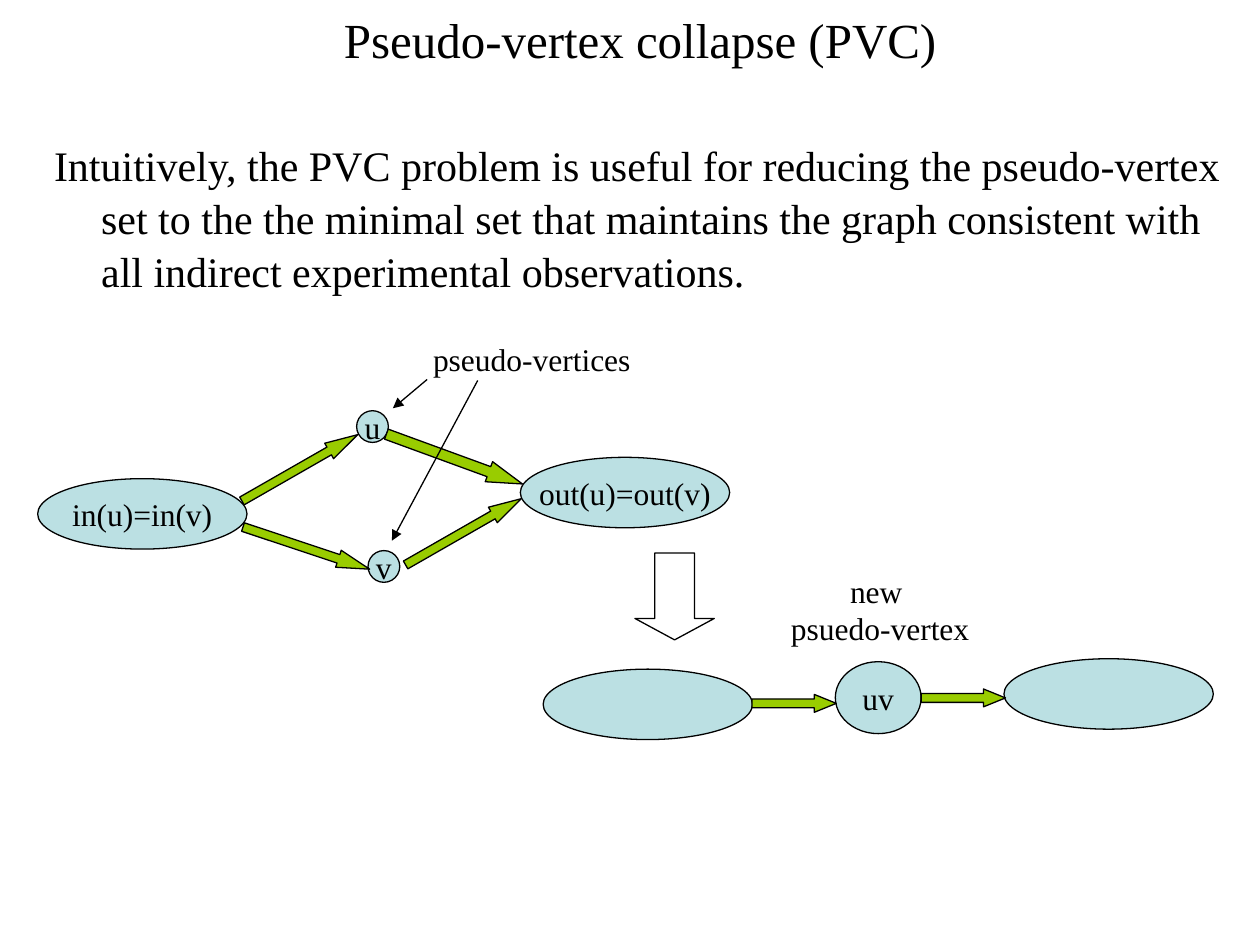
from typing import NamedTuple

from lxml import etree
from pptx import Presentation
from pptx.dml.color import RGBColor
from pptx.enum.shapes import MSO_CONNECTOR, MSO_SHAPE
from pptx.enum.text import MSO_ANCHOR, MSO_AUTO_SIZE, PP_ALIGN
from pptx.oxml.ns import qn
from pptx.util import Cm, Pt

BLACK = RGBColor(0x00, 0x00, 0x00)
PALE_BLUE = RGBColor(0xBB, 0xE0, 0xE3)
GREEN = RGBColor(0x99, 0xCC, 0x00)

ELLIPSE = MSO_SHAPE.OVAL
RIGHT_ARROW = MSO_SHAPE.RIGHT_ARROW
DOWN_ARROW = MSO_SHAPE.DOWN_ARROW
STRAIGHT = MSO_CONNECTOR.STRAIGHT
LEFT, CENTER = PP_ALIGN.LEFT, PP_ALIGN.CENTER
TOP, MIDDLE = MSO_ANCHOR.TOP, MSO_ANCHOR.MIDDLE
NO_AUTOFIT = MSO_AUTO_SIZE.NONE

FONT = "Times New Roman"
LINE_WIDTH = Pt(0.75)
TEXT_LEFT, TEXT_WIDTH = 0.84, 24.13
SET_SIZE = (4.22, 1.42)
VERTEX_SIZE = (0.64, 0.64)
MERGED_SIZE = (1.73, 1.45)


class Vertex(NamedTuple):
    left: float
    top: float
    size: tuple[float, float]
    text: str = ""


class Arrow(NamedTuple):
    left: float
    top: float
    width: float
    height: float = 0.36
    rotation: float = 0
    head: float = 1.84


class Label(NamedTuple):
    left: float
    top: float
    width: float
    height: float
    lines: tuple[str, ...]
    align: PP_ALIGN


class Pointer(NamedTuple):
    start: tuple[float, float]
    end: tuple[float, float]


VERTICES = [
    Vertex(7.19, 8.28, VERTEX_SIZE, "u"),
    Vertex(7.42, 11.1, VERTEX_SIZE, "v"),
    Vertex(0.76, 9.65, SET_SIZE, "in(u)=in(v)"),
    Vertex(10.49, 9.22, SET_SIZE, "out(u)=out(v)"),
    Vertex(10.95, 13.49, SET_SIZE),
    Vertex(20.24, 13.28, SET_SIZE),
    Vertex(16.84, 13.34, MERGED_SIZE, "uv"),
]
ARROWS = [
    Arrow(4.7, 9.25, 2.69, rotation=330.2),
    Arrow(4.83, 10.87, 2.69, rotation=18.4),
    Arrow(7.7, 9.04, 2.92, 0.43, rotation=20.1, head=1.67),
    Arrow(8.0, 10.54, 2.69, rotation=330.2),
    Arrow(15.16, 14.0, 1.7, head=1.23),
    Arrow(18.57, 13.89, 1.7, head=1.23),
]
LABELS = [
    Label(8.48, 6.73, 4.5, 1.02, ("pseudo-vertices",), LEFT),
    Label(15.7, 11.4, 4.09, 1.78, ("new ", "psuedo-vertex"), CENTER),
]
POINTERS = [
    Pointer((8.61, 7.65), (7.92, 8.23)),
    Pointer((9.63, 7.67), (7.9, 10.9)),
]


def write(box, *lines: str, size: float = 18, align=CENTER, anchor=TOP,
          wrap: bool = False, spacing: float = 1.0) -> None:
    """Fill a box with one paragraph per line of text."""
    frame = box.text_frame
    frame.auto_size = NO_AUTOFIT
    frame.word_wrap = wrap
    frame.vertical_anchor = anchor
    for number, line in enumerate(lines):
        para = frame.add_paragraph() if number else frame.paragraphs[0]
        para.alignment = align
        para.line_spacing = spacing
        span = para.add_run()
        span.text = line
        span.font.name = FONT
        span.font.size = Pt(size)
        span.font.color.rgb = BLACK


def add_outlined(page, kind, left: float, top: float, width: float,
                 height: float, fill: RGBColor | None = None):
    shape = page.shapes.add_shape(kind, Cm(left), Cm(top), Cm(width), Cm(height))
    shape.shadow.inherit = False
    if fill is None:
        shape.fill.background()
    else:
        shape.fill.solid()
        shape.fill.fore_color.rgb = fill
    shape.line.color.rgb = BLACK
    shape.line.width = LINE_WIDTH
    return shape


def add_vertex(page, vertex: Vertex) -> None:
    shape = add_outlined(page, ELLIPSE, vertex.left, vertex.top, *vertex.size,
                         fill=PALE_BLUE)
    if vertex.text:
        write(shape, vertex.text, anchor=MIDDLE)


def add_arrow(page, arrow: Arrow) -> None:
    shape = add_outlined(page, RIGHT_ARROW, arrow.left, arrow.top, arrow.width,
                         arrow.height, fill=GREEN)
    shape.adjustments[1] = arrow.head
    shape.rotation = arrow.rotation


def add_label(page, label: Label) -> None:
    box = page.shapes.add_textbox(Cm(label.left), Cm(label.top),
                                  Cm(label.width), Cm(label.height))
    write(box, *label.lines, align=label.align)


def add_pointer(page, pointer: Pointer) -> None:
    ends = [Cm(value) for value in pointer.start + pointer.end]
    line = page.shapes.add_connector(STRAIGHT, *ends)
    line.line.color.rgb = BLACK
    line.line.width = LINE_WIDTH
    properties = line._element.spPr
    etree.SubElement(properties.find(qn("a:ln")), qn("a:tailEnd"), type="triangle")
    etree.SubElement(properties, qn("a:effectLst"))


def main() -> None:
    deck = Presentation()
    deck.slide_width, deck.slide_height = Cm(25.4), Cm(19.05)
    page = deck.slides.add_slide(deck.slide_layouts[5])

    # Title
    title = page.shapes.title
    title.left, title.top = Cm(TEXT_LEFT), Cm(0)
    title.width, title.height = Cm(TEXT_WIDTH), Cm(2.29)
    write(title, "Pseudo-vertex collapse (PVC)", size=28, wrap=True, spacing=1.05)

    # Explanation with a hanging indent
    body = page.shapes.add_textbox(Cm(TEXT_LEFT), Cm(2.64), Cm(TEXT_WIDTH), Cm(4.8))
    write(body, "Intuitively, the PVC problem is useful for reducing the "
          "pseudo-vertex set to the the minimal set that maintains the graph "
          "consistent with all indirect experimental observations.",
          size=24, align=LEFT, wrap=True, spacing=1.05)
    indent = Cm(0.95)
    para_format = body.text_frame.paragraphs[0]._p.get_or_add_pPr()
    para_format.set("marL", str(indent))
    para_format.set("indent", str(-indent))

    # Graph before and after the collapse
    for vertex in VERTICES:
        add_vertex(page, vertex)
    for arrow in ARROWS:
        add_arrow(page, arrow)
    collapse = add_outlined(page, DOWN_ARROW, 12.8, 11.15, 1.6, 1.75)
    collapse.adjustments[1] = 0.27

    # Labels and their pointers
    for label in LABELS:
        add_label(page, label)
    for pointer in POINTERS:
        add_pointer(page, pointer)

    deck.save("out.pptx")


if __name__ == "__main__":
    main()
